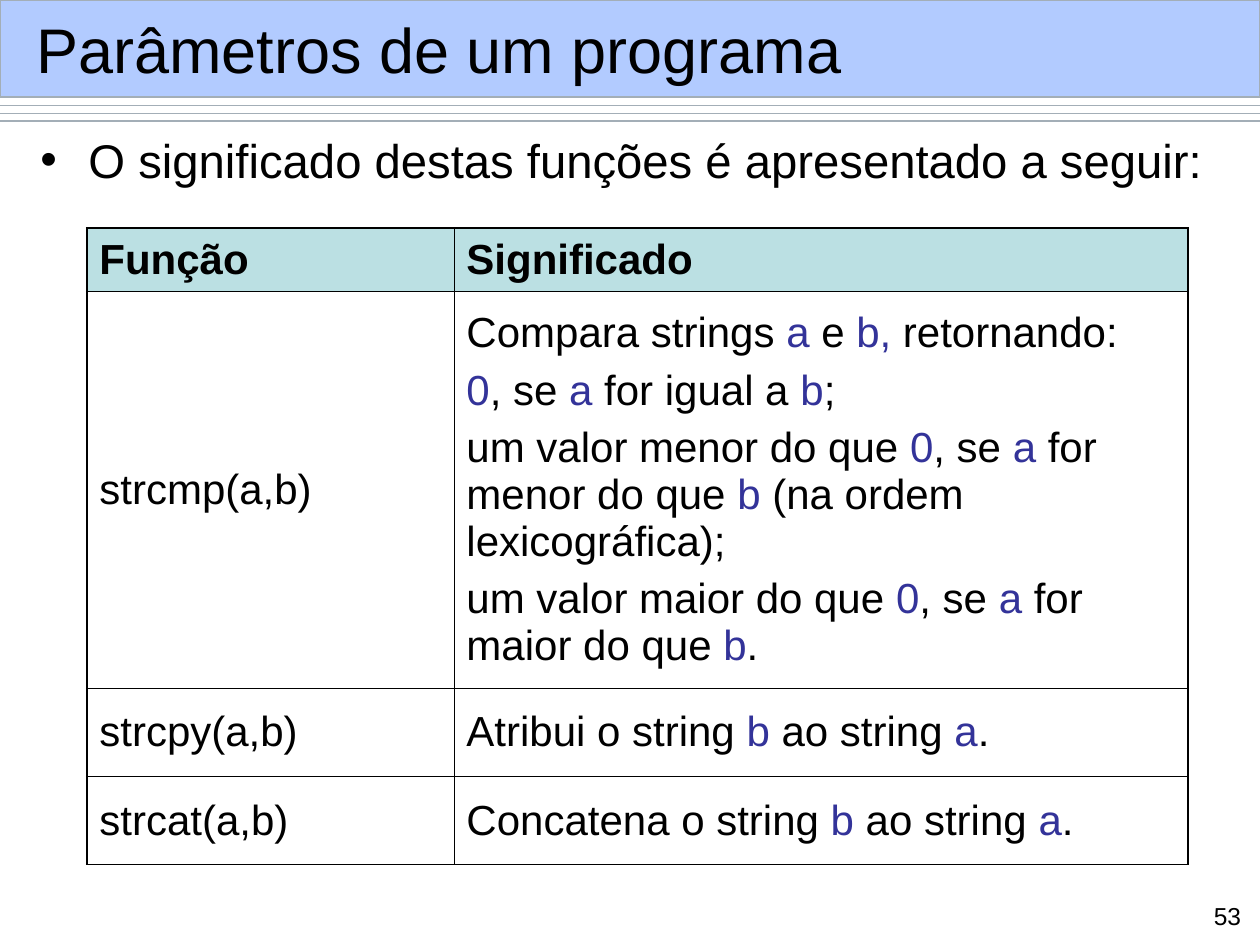
from lxml import etree
from pptx import Presentation
from pptx.dml.color import RGBColor
from pptx.enum import shapes, text
from pptx.oxml import ns
from pptx.util import Cm, Pt

TITLE = "Parâmetros de um programa"
INTRO = "O significado destas funções é apresentado a seguir:"
PAGE_NUMBER = "53"
ROWS = [
    (["Função"], ["Significado"]),
    (["strcmp(a,b)"], [
        "Compara strings *a* e *b,* retornando:",
        "*0*, se *a* for igual a *b*;",
        "um valor menor do que *0*, se *a* for menor do que *b* (na ordem lexicográfica);",
        "um valor maior do que *0*, se *a* for maior do que *b*.",
    ]),
    (["strcpy(a,b)"], ["Atribui o string *b* ao string *a*."]),
    (["strcat(a,b)"], ["Concatena o string *b* ao string *a*."]),
]
COLUMN_WIDTHS = [7.4, 14.8]
ROW_HEIGHTS = [1.27, 8, 1.78, 1.78]
RULE_TOPS = [2.13, 2.29, 2.44]
COLORS = {"text": "000000", "accent": "333399", "header": "BBE0E3",
          "band": "6699FF", "rule": "A3AEB7", "page": "FFFFFF"}
THIN, THICK = 0.45, 1.08


def color(name):
    return RGBColor.from_string(COLORS[name])


def add_element(parent, tag, **attributes):
    return etree.SubElement(parent, ns.qn(tag), attributes)


def write(para, content, size, bold=False):
    for index, part in enumerate(content.split("*")):
        if part:
            span = para.add_run()
            span.text = part
            for name, value in {"name": "Arial", "size": Pt(size), "bold": bold}.items():
                setattr(span.font, name, value)
            span.font.color.rgb = color("accent" if index % 2 else "text")


def place(box, left, top, width, height, anchor):
    position = {"left": left, "top": top, "width": width, "height": height}
    for name, value in position.items():
        setattr(box, name, Cm(value))
    frame = box.text_frame
    settings = {"word_wrap": True, "auto_size": text.MSO_AUTO_SIZE.NONE,
                "vertical_anchor": anchor}
    for name, value in settings.items():
        setattr(frame, name, value)
    return frame.paragraphs[0]


def add_band(page):
    band = page.shapes.add_shape(shapes.MSO_SHAPE.RECTANGLE, 0, 0, Cm(25.4), Cm(1.96))
    band.shadow.inherit = False
    band.fill.solid()
    band.fill.fore_color.rgb = color("band")
    add_element(band.fill._xPr.find(".//" + ns.qn("a:srgbClr")), "a:alpha", val="50000")
    band.line.color.rgb = color("rule")
    band.line.width = Pt(0.75)
    for top in RULE_TOPS:
        rule = page.shapes.add_connector(
            shapes.MSO_CONNECTOR.STRAIGHT, 0, Cm(top), Cm(25.4), Cm(top))
        rule.line.color.rgb = color("rule")
        rule.line.width = Pt(0.75)
        add_element(rule._element.spPr, "a:effectLst")


def set_borders(cell, widths):
    properties = cell._tc.get_or_add_tcPr()
    for index, (side, width) in enumerate(widths.items()):
        border = etree.Element(ns.qn("a:" + side), w=str(int(Pt(width))))
        fill = add_element(border, "a:solidFill")
        add_element(fill, "a:srgbClr", val=COLORS["text"])
        properties.insert(index, border)


def add_function_table(page):
    frame = page.shapes.add_table(
        len(ROWS), len(COLUMN_WIDTHS), Cm(1.75), Cm(4.6),
        Cm(sum(COLUMN_WIDTHS)), Cm(sum(ROW_HEIGHTS)))
    table = frame.table
    for column, width in zip(table.columns, COLUMN_WIDTHS):
        column.width = Cm(width)
    last_row, last_column = len(ROWS) - 1, len(COLUMN_WIDTHS) - 1
    for r, (row, height) in enumerate(zip(ROWS, ROW_HEIGHTS)):
        table.rows[r].height = Cm(height)
        for c, lines in enumerate(row):
            cell = table.cell(r, c)
            cell.vertical_anchor = text.MSO_ANCHOR.MIDDLE
            cell.fill.solid()
            cell.fill.fore_color.rgb = color("page" if r else "header")
            set_borders(cell, {
                "lnL": THIN if c else THICK,
                "lnR": THICK if c == last_column else THIN,
                "lnT": THIN if r else THICK,
                "lnB": THICK if r == last_row else THIN,
            })
            for index, line in enumerate(lines):
                para = cell.text_frame.add_paragraph() if index else cell.text_frame.paragraphs[0]
                if index:
                    para.space_before = Pt(6)
                write(para, line, 24, bold=r == 0)


def main():
    deck = Presentation()
    deck.slide_width, deck.slide_height = Cm(25.4), Cm(19.05)
    page = deck.slides.add_slide(deck.slide_layouts[1])
    title, body = page.placeholders
    add_band(page)

    page.shapes._spTree.append(body._element)
    para = place(body, 0.56, 2.51, 24.59, 15.85, text.MSO_ANCHOR.TOP)
    properties = para._p.get_or_add_pPr()
    properties.set("marL", str(Cm(0.97)))
    properties.set("indent", str(-Cm(0.97)))
    add_element(properties, "a:buChar", char="•")
    para.space_before = Pt(0)
    write(para, INTRO, 27)

    add_function_table(page)

    page.shapes._spTree.append(title._element)
    para = place(title, 0.48, 0.23, 24.49, 1.5, text.MSO_ANCHOR.MIDDLE)
    para.alignment = text.PP_ALIGN.LEFT
    write(para, TITLE, 36)

    number = page.shapes.add_textbox(0, 0, 0, 0)
    para = place(number, 24.05, 18.03, 1.22, 0.81, text.MSO_ANCHOR.TOP)
    para.alignment = text.PP_ALIGN.RIGHT
    write(para, PAGE_NUMBER, 14)

    deck.save("out.pptx")


if __name__ == "__main__":
    main()
